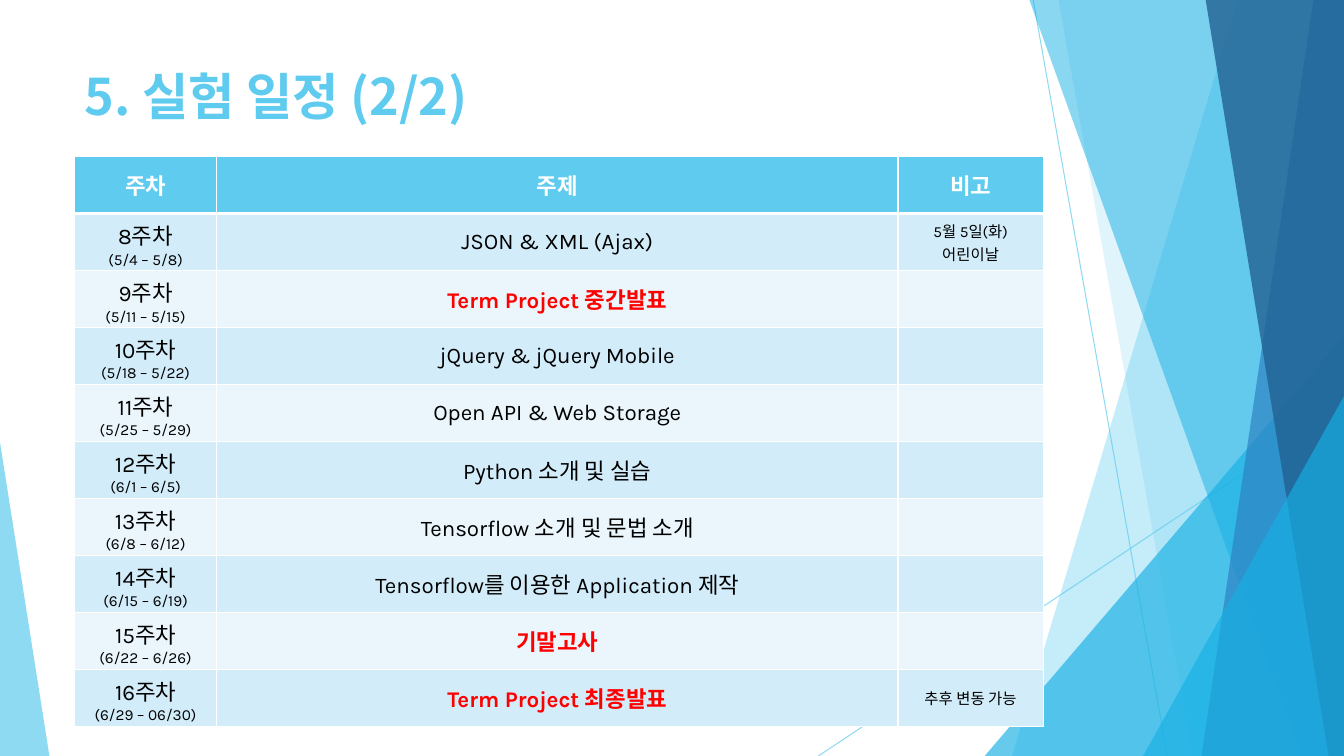
import pptx
import pptx.util
import pptx.dml.color
import pptx.enum.shapes
import pptx.enum.text
import pptx.oxml
import pptx.oxml.ns
import lxml.etree

Pt = pptx.util.Pt
RGBColor = pptx.dml.color.RGBColor
qn = pptx.oxml.ns.qn
SHAPES = pptx.enum.shapes.MSO_SHAPE

SKY = RGBColor(0x5F, 0xCB, 0xEF)
CYAN = RGBColor(0x17, 0xB0, 0xE4)
BLUE = RGBColor(0x2E, 0x83, 0xC3)
NAVY = RGBColor(0x22, 0x62, 0x92)
BAND_DARK = RGBColor(0xD2, 0xEC, 0xF9)
BAND_LIGHT = RGBColor(0xEA, 0xF6, 0xFC)
WHITE = RGBColor(0xFF, 0xFF, 0xFF)
BLACK = RGBColor(0, 0, 0)
RED = RGBColor(0xFF, 0, 0)
KOREAN_FONT = "Noto Sans CJK KR"
WIDTH, HEIGHT = 960, 540


def paint(fill, color, opacity):
    """Solid fill with an opacity in percent."""
    fill.solid()
    fill.fore_color.rgb = color
    color_node = fill._xPr.find(".//" + qn("a:srgbClr"))
    lxml.etree.SubElement(color_node, qn("a:alpha"), val=str(opacity * 1000))


def style(paragraph, name, size, color, bold):
    font = paragraph.font
    font.name, font.size, font.bold = name, Pt(size), bold
    font.color.rgb = color
    lxml.etree.SubElement(font._rPr, qn("a:ea"), typeface=KOREAN_FONT)


deck = pptx.Presentation()
deck.slide_width, deck.slide_height = Pt(WIDTH), Pt(HEIGHT)
page = deck.slides.add_slide(deck.slide_layouts[6])

# Thin crossing lines
for ends in [(738, 0, 833.8, HEIGHT), (WIDTH, 290.2, 584.6, HEIGHT)]:
    line = page.shapes.add_connector(
        pptx.enum.shapes.MSO_CONNECTOR.STRAIGHT, *[Pt(end) for end in ends])
    line.line.width = Pt(0.75)
    paint(line.line.fill, SKY, 70)
    lxml.etree.SubElement(line._element.spPr, qn("a:effectLst"))

# Translucent facets: bands by top left and bottom left x, triangles by box and apex
facets = [
    ("band", (884.2, 722.9), SKY, 36),
    ("band", (756, 851.8), SKY, 20),
    ("triangle", (703.4, 239.8, 256.6, 300.2, 1), CYAN, 66),
    ("band", (735.1, 929.5), CYAN, 50),
    ("band", (938.2, 858.2), BLUE, 70),
    ("band", (861.1, 949), NAVY, 80),
    ("triangle", (816.5, 283, 143.5, 257, 1), CYAN, 66),
    ("triangle", (0, 316, 35.3, 224, 0), SKY, 70),
]
for kind, place, color, opacity in facets:
    if kind == "band":
        top_left, bottom_left = place
        outline = page.shapes.build_freeform(Pt(top_left), Pt(-0.6))
        outline.add_line_segments([
            (Pt(WIDTH), Pt(-0.6)), (Pt(WIDTH), Pt(HEIGHT)), (Pt(bottom_left), Pt(HEIGHT))])
        facet = outline.convert_to_shape()
    else:
        *frame, apex = place
        facet = page.shapes.add_shape(
            SHAPES.ISOSCELES_TRIANGLE, *[Pt(length) for length in frame])
        facet.adjustments[0] = apex
    paint(facet.fill, color, opacity)
    facet.line.fill.background()
    facet.shadow.inherit = False

# Title
title = page.shapes.add_textbox(Pt(53.3), Pt(48), Pt(676.8), Pt(103.9))
title.text_frame.word_wrap = True
title.text_frame.text = "5. 실험 일정 (2/2)"
title.text_frame.paragraphs[0].line_spacing = 0.9
style(title.text_frame.paragraphs[0], KOREAN_FONT, 36, SKY, True)

# Schedule: week, dates, topic, remark
weeks = [
    ("5/4 – 5/8", "JSON & XML (Ajax)", "5월 5일(화)\n어린이날"),
    ("5/11 – 5/15", "Term Project 중간발표", ""),
    ("5/18 – 5/22", "jQuery & jQuery Mobile", ""),
    ("5/25 – 5/29", "Open API & Web Storage", ""),
    ("6/1 – 6/5", "Python 소개 및 실습", ""),
    ("6/8 – 6/12", "Tensorflow 소개 및 문법 소개", ""),
    ("6/15 – 6/19", "Tensorflow를 이용한 Application 제작", ""),
    ("6/22 – 6/26", "기말고사", ""),
    ("6/29 – 06/30", "Term Project 최종발표", "추후 변동 가능"),
]
milestones = {"Term Project 중간발표", "기말고사", "Term Project 최종발표"}
rows = [("주차", "주제", "비고")]
for number, (dates, topic, remark) in enumerate(weeks, start=8):
    rows.append((f"{number}주차\n({dates})", topic, remark))

row_height = 40.7
schedule = page.shapes.add_table(
    len(rows), 3, Pt(53.3), Pt(111.9), Pt(691.9), Pt(row_height * len(rows))).table
for column, width in zip(schedule.columns, (101.5, 486.7, 103.7)):
    column.width = Pt(width)

for row_index, row in enumerate(rows):
    schedule.rows[row_index].height = Pt(row_height)
    header = row_index == 0
    for column_index, text in enumerate(row):
        cell = schedule.cell(row_index, column_index)

        # White borders, heavier under the header
        heavy_side = {0: "lnB", 1: "lnT"}.get(row_index)
        for side in ("lnL", "lnR", "lnT", "lnB"):
            border = lxml.etree.SubElement(
                cell._tc.get_or_add_tcPr(), qn("a:" + side),
                w=str(Pt(3 if side == heavy_side else 1)))
            solid = lxml.etree.SubElement(border, qn("a:solidFill"))
            lxml.etree.SubElement(solid, qn("a:srgbClr"), val=str(WHITE))
        cell.fill.solid()
        cell.fill.fore_color.rgb = (
            SKY if header else BAND_DARK if row_index % 2 else BAND_LIGHT)

        cell.vertical_anchor = pptx.enum.text.MSO_ANCHOR.MIDDLE
        cell.text_frame.text = text
        milestone = text in milestones
        color = WHITE if header else RED if milestone else BLACK
        for line_index, paragraph in enumerate(cell.text_frame.paragraphs):
            small = not header and (column_index == 2 or line_index == 1)
            paragraph.alignment = pptx.enum.text.PP_ALIGN.CENTER
            style(paragraph, "Karla", 11 if small else 16, color, header or milestone)

deck.save("out.pptx")
